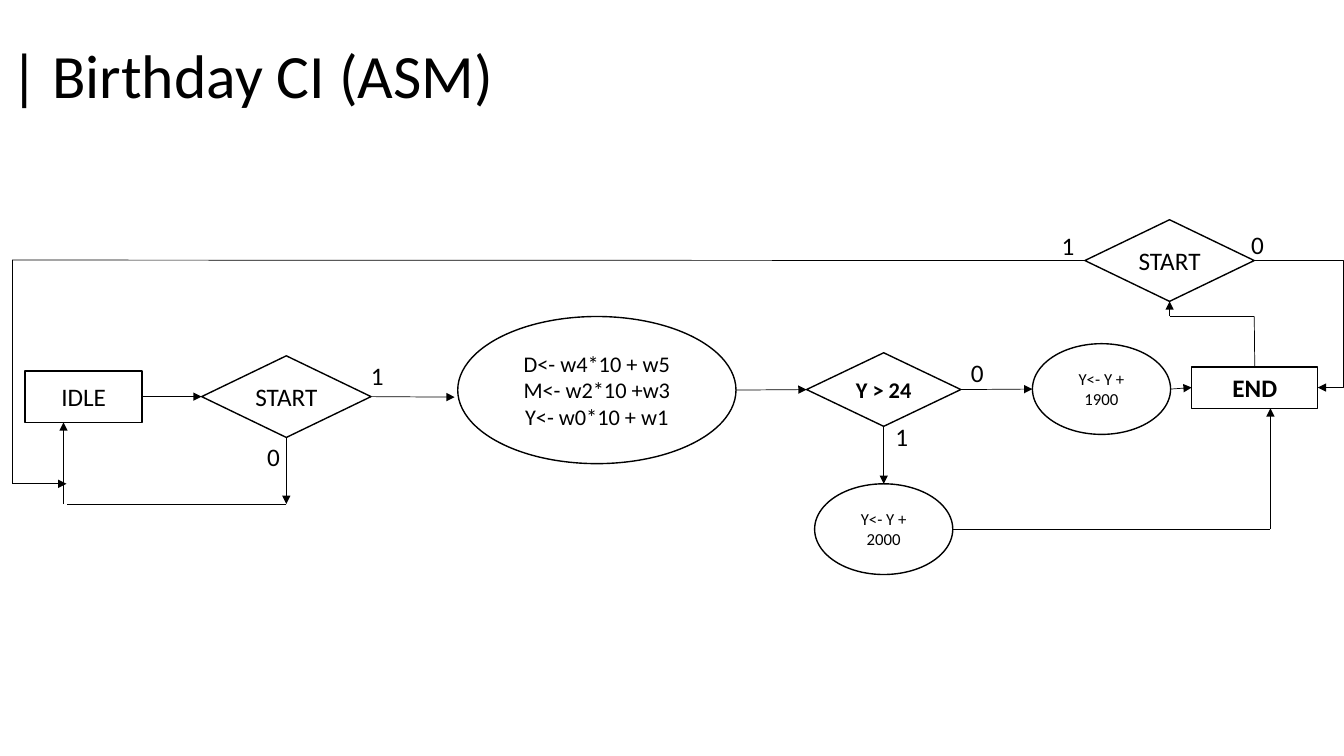
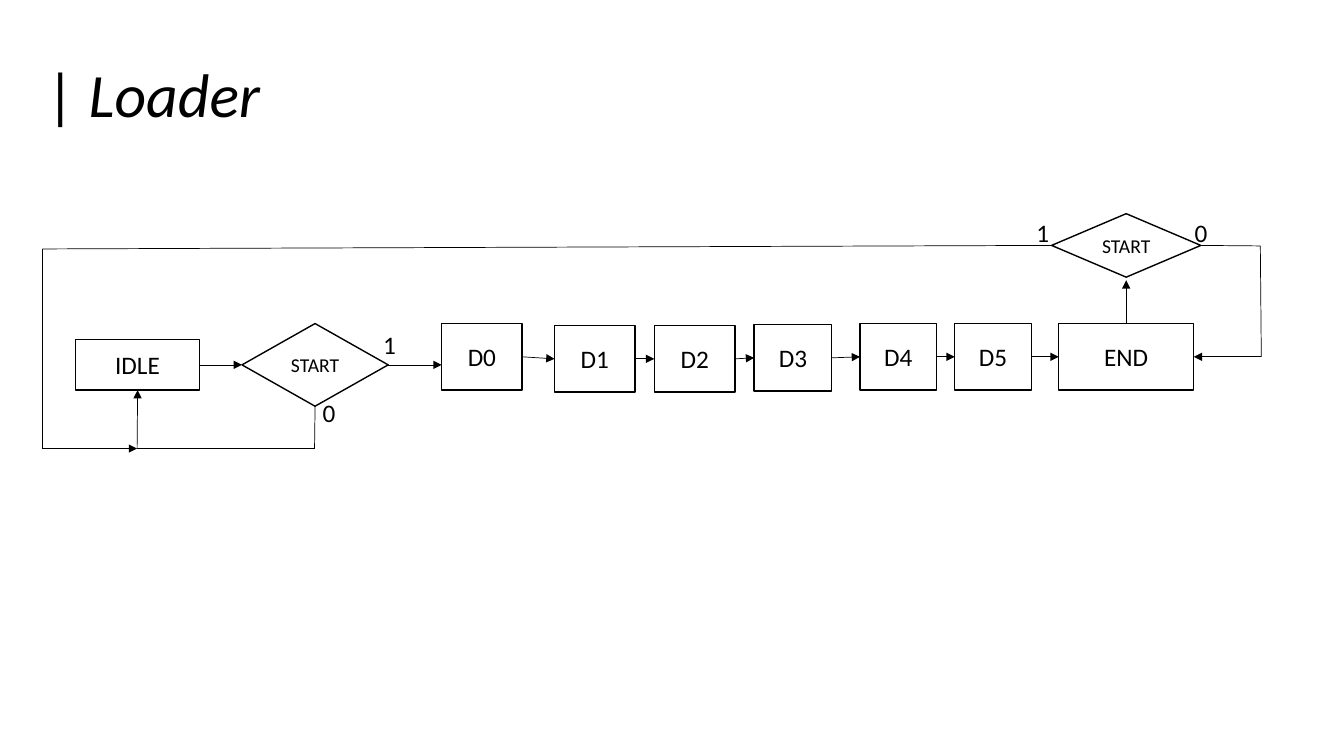
from lxml import etree
from pptx import Presentation
from pptx.dml.color import RGBColor
from pptx.enum.shapes import MSO_CONNECTOR, MSO_SHAPE
from pptx.enum.text import MSO_ANCHOR, MSO_AUTO_SIZE, PP_ALIGN
from pptx.oxml.ns import qn
from pptx.util import Inches, Pt

BOX, OVAL, DECISION = MSO_SHAPE.RECTANGLE, MSO_SHAPE.OVAL, MSO_SHAPE.FLOWCHART_DECISION
STRAIGHT, ELBOW = MSO_CONNECTOR.STRAIGHT, MSO_CONNECTOR.ELBOW
LEFT_ALIGN, CENTER = PP_ALIGN.LEFT, PP_ALIGN.CENTER
MIDDLE, NO_AUTOFIT = MSO_ANCHOR.MIDDLE, MSO_AUTO_SIZE.NONE

COLORS = {"ink": "000000", "paper": "FFFFFF"}
FONT = "Calibri"
TITLE_MARK = "| "
TITLE_ONLY = 5

# Connection sites, and where each lies on the outline
TOP, LEFT, BOTTOM, RIGHT = range(4)
SIDE_POINTS = {TOP: (0.5, 0), LEFT: (0, 0.5), BOTTOM: (0.5, 1), RIGHT: (1, 0.5)}


def color(name):
    return RGBColor.from_string(COLORS[name])


def add_text(paragraph, text, size=18, bold=False, italic=False, align=CENTER):
    paragraph.alignment = align
    run = paragraph.add_run()
    run.text = text
    run.font.name = FONT
    run.font.size = Pt(size)
    run.font.bold = bold
    run.font.italic = italic
    run.font.color.rgb = color("ink")


def locate(stop):
    """Turn an (x, y) point in inches or a (shape, side) pair into a position."""
    if isinstance(stop[0], (int, float)):
        return Inches(stop[0]), Inches(stop[1])
    shape, side = stop
    across, down = SIDE_POINTS[side]
    return int(shape.left + across * shape.width), int(shape.top + down * shape.height)


def can_join(stop):
    # An oval numbers its eight sites differently, so lines only touch it
    return not isinstance(stop[0], (int, float)) and stop[0].auto_shape_type != OVAL


class FlowDeck:
    def __init__(self):
        self.prs = Presentation()
        self.prs.slide_width = Inches(13.33)
        self.prs.slide_height = Inches(7.5)
        self.slide = None

    def new_slide(self, title, at, italic=False):
        self.slide = self.prs.slides.add_slide(self.prs.slide_layouts[TITLE_ONLY])
        heading = self.slide.shapes.title
        heading.left, heading.top, heading.width, heading.height = map(Inches, at)
        frame = heading.text_frame
        frame.auto_size = NO_AUTOFIT
        frame.vertical_anchor = MIDDLE
        paragraph = frame.paragraphs[0]
        paragraph.line_spacing = 0.9
        add_text(paragraph, TITLE_MARK, size=44, align=LEFT_ALIGN)
        add_text(paragraph, title, size=44, italic=italic, align=LEFT_ALIGN)

    def node(self, kind, lines, at, **style):
        shape = self.slide.shapes.add_shape(kind, *map(Inches, at))
        shape.shadow.inherit = False
        shape.fill.solid()
        shape.fill.fore_color.rgb = color("paper")
        shape.line.color.rgb = color("ink")
        shape.line.width = Pt(1)
        frame = shape.text_frame
        frame.word_wrap = True
        frame.vertical_anchor = MIDDLE
        if kind == DECISION:
            frame.margin_left = frame.margin_right = 0
        for index, line in enumerate(lines.split("\n")):
            paragraph = frame.add_paragraph() if index else frame.paragraphs[0]
            add_text(paragraph, line, **style)
        return shape

    def branch(self, text, x, y):
        frame = self.slide.shapes.add_textbox(
            Inches(x), Inches(y), Inches(0.2), Inches(0.4)).text_frame
        frame.word_wrap = True
        frame.margin_left = frame.margin_right = 0
        add_text(frame.paragraphs[0], text, align=LEFT_ALIGN)

    def connect(self, start, end, head=True, kind=STRAIGHT, bend=None):
        line = self.slide.shapes.add_connector(kind, *locate(start), *locate(end))
        if can_join(start):
            line.begin_connect(*start)
        if can_join(end):
            line.end_connect(*end)
        line.line.color.rgb = color("ink")
        line.line.width = Pt(0.5)
        properties = line.element.spPr
        if head:
            etree.SubElement(properties.find(qn("a:ln")), qn("a:tailEnd"), type="triangle")
        if bend is not None:
            guides = properties.find(qn("a:prstGeom")).find(qn("a:avLst"))
            etree.SubElement(guides, qn("a:gd"), name="adj1", fmla=f"val {int(bend * 100000)}")
        etree.SubElement(properties, qn("a:effectLst"))

    def route(self, *stops, head=True):
        """Draw straight legs through the stops, with a head on the last leg."""
        last = len(stops) - 2
        for index, (start, end) in enumerate(zip(stops, stops[1:])):
            self.connect(start, end, head=head and index == last)


def build_birthday(deck):
    deck.new_slide("Birthday CI (ASM)", (0, 0.33, 8.33, 0.9))

    # States, decisions and operations
    idle = deck.node(BOX, "IDLE", (0.25, 3.68, 1.16, 0.51))
    start = deck.node(DECISION, "START", (2, 3.53, 1.68, 0.81))
    digits = deck.node(OVAL, "D<- w4*10 + w5\nM<- w2*10 +w3\nY<- w0*10 + w1",
                       (4.54, 3.14, 2.76, 1.46), size=16)
    century = deck.node(DECISION, "Y > 24", (8, 3.5, 1.53, 0.73), size=16, bold=True)
    add_1900 = deck.node(OVAL, "Y<- Y + 1900", (10.24, 3.41, 1.37, 0.9), size=12)
    add_2000 = deck.node(OVAL, "Y<- Y + 2000", (8.08, 4.8, 1.37, 0.9), size=12)
    end = deck.node(BOX, "END", (11.82, 3.64, 1.25, 0.41), bold=True)
    restart = deck.node(DECISION, "START", (10.76, 2.18, 1.68, 0.81))

    # Main flow
    deck.route((idle, RIGHT), (start, LEFT))
    deck.route((start, RIGHT), (4.51, 3.94))
    deck.route((digits, RIGHT), (century, LEFT))
    deck.route((century, RIGHT), (add_1900, LEFT))
    deck.route((century, BOTTOM), (add_2000, TOP))
    deck.route((add_1900, RIGHT), (end, LEFT))
    deck.route((add_2000, RIGHT), (12.6, 5.25), (12.6, 4.05))
    deck.route((end, TOP), (12.44, 3.14), (11.6, 3.14), (restart, BOTTOM))

    # Loops back to IDLE and END
    deck.route((start, BOTTOM), (2.84, 5))
    deck.route((2.84, 5), (0.66, 5), head=False)
    deck.route((0.63, 5), (0.63, 4.19))
    deck.route((restart, LEFT), (0.12, 2.58), (0.12, 4.8), (0.66, 4.8))
    deck.connect((restart, RIGHT), (end, RIGHT), kind=ELBOW, bend=1.4)

    # Branch values
    for value, x, y in [("0", 2.65, 4.33), ("1", 3.68, 3.53), ("0", 9.63, 3.5),
                        ("1", 8.88, 4.13), ("0", 12.41, 2.23), ("1", 10.53, 2.24)]:
        deck.branch(value, x, y)


def build_loader(deck):
    deck.new_slide("Loader", (0.36, 0.24, 11.5, 1.45), italic=True)

    # States and decisions
    idle = deck.node(BOX, "IDLE", (0.75, 3.37, 1.23, 0.5))
    start = deck.node(DECISION, "START", (2.4, 3.21, 1.45, 0.82), size=14)
    digit_places = [(4.38, 3.21, 0.8), (5.5, 3.23, 0.8), (6.49, 3.23, 0.8),
                    (7.48, 3.22, 0.77), (8.53, 3.21, 0.76), (9.47, 3.21, 0.76)]
    states = [deck.node(BOX, f"D{number}", (x, y, width, 0.66))
              for number, (x, y, width) in enumerate(digit_places)]
    end = deck.node(BOX, "END", (10.5, 3.21, 1.34, 0.66))
    states.append(end)
    restart = deck.node(DECISION, "START", (10.43, 2.12, 1.48, 0.63), size=14)

    # Main flow
    deck.route((idle, RIGHT), (start, LEFT))
    deck.route((start, RIGHT), (4.38, 3.62))
    for state, following in zip(states, states[1:]):
        deck.route((state, RIGHT), (following, LEFT))
    deck.route((end, TOP), (11.17, 2.78))

    # Loops back to IDLE and END
    deck.route((start, BOTTOM), (3.12, 4.45), (1.36, 4.45), (idle, BOTTOM))
    deck.route((restart, LEFT), (0.42, 2.47), (0.42, 4.45), (1.36, 4.45))
    deck.route((restart, RIGHT), (12.5, 2.44), (12.51, 3.54), (end, RIGHT))

    # Branch values
    for value, x, y in [("0", 11.85, 2.11), ("1", 10.28, 2.11),
                        ("1", 3.8, 3.22), ("0", 3.2, 3.89)]:
        deck.branch(value, x, y)


def main():
    deck = FlowDeck()
    build_birthday(deck)
    build_loader(deck)
    deck.prs.save("out.pptx")


if __name__ == "__main__":
    main()
